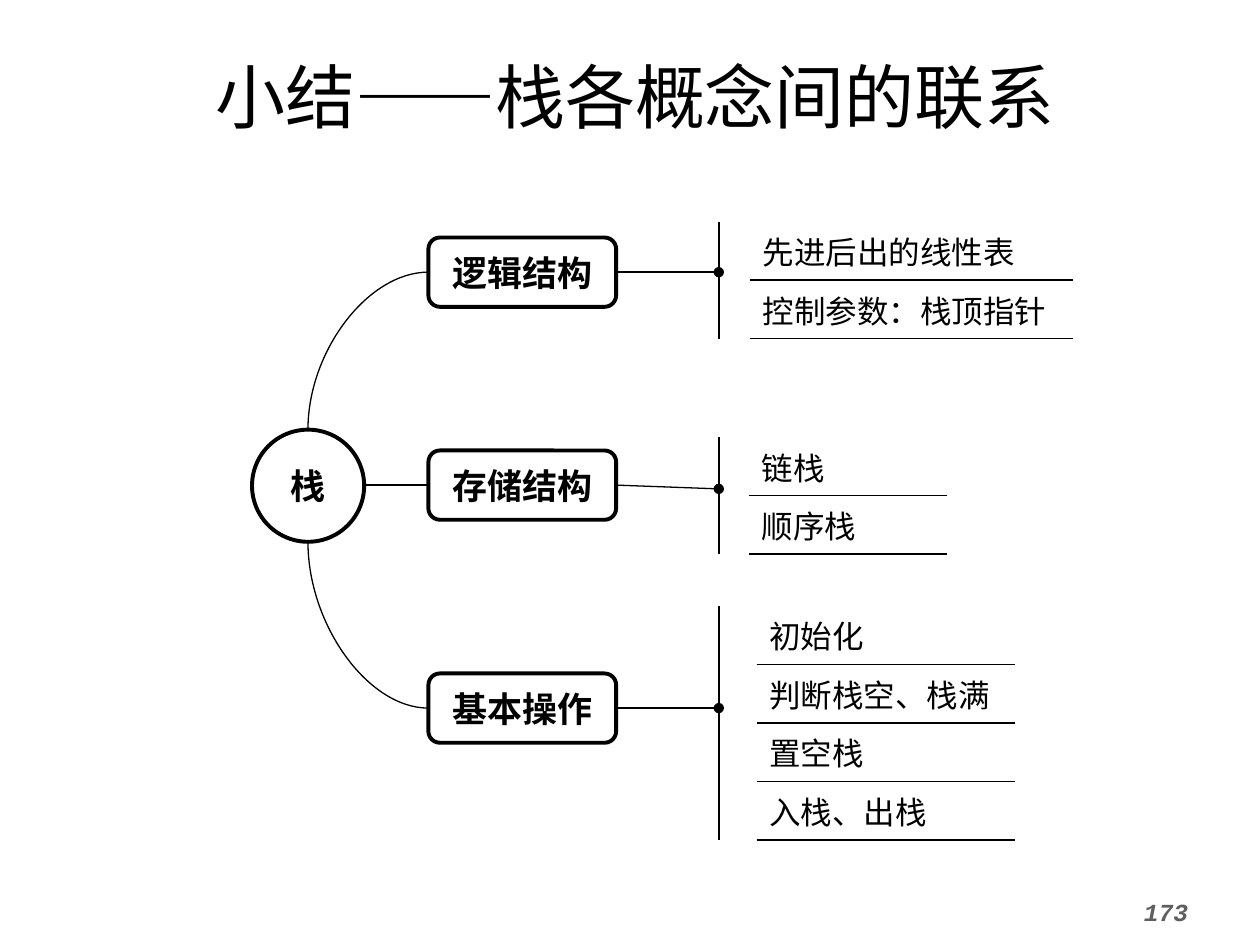
import pptx
import pptx.dml.color
import pptx.enum.shapes
import pptx.enum.text
import pptx.oxml.ns
import pptx.util
from lxml import etree

COLORS = {"ink": "000000", "paper": "FFFFFF", "page": "5F5F5F"}
FONT = "Courier New"
COLUMNS, ROWS = 100, 75
NO_GRID_STYLE = "{2D5ABB26-0587-4C30-8999-92F81FD0307C}"
SHAPES = pptx.enum.shapes.MSO_SHAPE
CONNECTORS = pptx.enum.shapes.MSO_CONNECTOR
ALIGN = pptx.enum.text.PP_ALIGN
qn = pptx.oxml.ns.qn


def color(name):
    return pptx.dml.color.RGBColor.from_string(COLORS[name])


def write(frame, text, size=18, ink="ink", align=ALIGN.LEFT, bold=False, italic=False):
    paragraph = frame.paragraphs[0]
    paragraph.alignment = align
    run = paragraph.add_run()
    run.text = text
    font = run.font
    font.name, font.size = FONT, pptx.util.Pt(size)
    font.bold, font.italic = bold, italic
    font.color.rgb = color(ink)


def add_border(cell, side, width=1):
    border = etree.SubElement(cell._tc.get_or_add_tcPr(), qn(f"a:ln{side}"),
                              w=str(pptx.util.Pt(width)))
    fill = etree.SubElement(border, qn("a:solidFill"))
    etree.SubElement(fill, qn("a:srgbClr"), val=COLORS["ink"])


class MindMap:
    """Draws the parts of a concept map on a slide divided into a grid."""

    def __init__(self, presentation):
        self.column = presentation.slide_width / COLUMNS
        self.row = presentation.slide_height / ROWS
        self.slide = presentation.slides.add_slide(presentation.slide_layouts[5])

    def place(self, *lengths):
        units = (self.column, self.row) * 2
        return [pptx.util.Emu(round(length * unit)) for length, unit in zip(lengths, units)]

    def title(self, text, *box):
        shape = self.slide.shapes.title
        shape.left, shape.top, shape.width, shape.height = self.place(*box)
        frame = shape.text_frame
        frame.auto_size = pptx.enum.text.MSO_AUTO_SIZE.SHAPE_TO_FIT_TEXT
        frame.vertical_anchor = pptx.enum.text.MSO_ANCHOR.MIDDLE
        write(frame, text, size=40, align=ALIGN.CENTER)

    def page_number(self, text, *box):
        frame = self.slide.shapes.add_textbox(*self.place(*box)).text_frame
        frame.word_wrap = True
        write(frame, text, size=14, ink="page", bold=True, italic=True)

    def node(self, kind, text, *box):
        shape = self.slide.shapes.add_shape(kind, *self.place(*box))
        shape.shadow.inherit = False
        shape.fill.solid()
        shape.fill.fore_color.rgb = color("paper")
        shape.line.color.rgb = color("ink")
        shape.line.width = pptx.util.Pt(2.25)
        shape.text_frame.vertical_anchor = pptx.enum.text.MSO_ANCHOR.MIDDLE
        write(shape.text_frame, text, size=20, align=ALIGN.CENTER, bold=True)

    def link(self, *ends, kind=CONNECTORS.STRAIGHT, dot=False):
        connector = self.slide.shapes.add_connector(kind, *self.place(*ends))
        connector.line.color.rgb = color("ink")
        connector.line.width = pptx.util.Pt(0.75)
        properties = connector._element.spPr
        etree.SubElement(properties, qn("a:effectLst"))
        if kind == CONNECTORS.CURVE:
            properties.find(qn("a:prstGeom")).set("prst", "curvedConnector2")
        if dot:
            etree.SubElement(properties.find(qn("a:ln")), qn("a:tailEnd"), type="oval")

    def listing(self, items, left, top, gap, width, row_height=4.64):
        box = self.place(left, top, gap + width, row_height * len(items))
        table = self.slide.shapes.add_table(len(items), 2, *box).table
        table.first_row = table.horz_banding = False
        table._tbl.tblPr.find(qn("a:tableStyleId")).text = NO_GRID_STYLE
        for column, share in zip(table.columns, (gap, width)):
            column.width = self.place(share)[0]
        for index, item in enumerate(items):
            spacer, entry = table.cell(index, 0), table.cell(index, 1)
            add_border(spacer, "L")
            if index:
                add_border(entry, "T")
            add_border(entry, "B")
            spacer.fill.background()
            entry.fill.background()
            write(entry.text_frame, item)


def main():
    presentation = pptx.Presentation()
    presentation.slide_width = pptx.util.Inches(10)
    presentation.slide_height = pptx.util.Inches(7.5)
    mind_map = MindMap(presentation)
    mind_map.title("小结——栈各概念间的联系", 2.7, 3.7, 95.4, 7.7)
    mind_map.page_number("173", 89.8, 70.7, 10.2, 4.3)

    root_left, root_top, root_size = 20, 34.1, 8.9
    root_center = root_left + root_size / 2
    branch_left, branch_width, branch_height, list_left = 34, 14.9, 5.5, 57.05
    branches = [
        ("逻辑结构", 21.6, 21.6, 17.6, 2.5, 25.6, ["先进后出的线性表", "控制参数：栈顶指针"]),
        ("存储结构", 38.5, 38.8, 34.7, 2.3, 15.7, ["链栈", "顺序栈"]),
        ("基本操作", 56.2, 56.2, 48.1, 3, 20.5, ["初始化", "判断栈空、栈满", "置空栈", "入栈、出栈"]),
    ]
    for name, middle, dot, top, gap, width, items in branches:
        mind_map.node(SHAPES.ROUNDED_RECTANGLE, name, branch_left,
                      middle - branch_height / 2, branch_width, branch_height)
        mind_map.listing(items, list_left, top, gap, width)
        mind_map.link(branch_left + branch_width, middle, list_left, dot, dot=True)

    upper, center, lower = (branch[1] for branch in branches)
    mind_map.node(SHAPES.OVAL, "栈", root_left, root_top, root_size, root_size)
    mind_map.link(root_left + root_size, center, branch_left, center)
    for middle, edge in ((upper, root_top), (lower, root_top + root_size)):
        mind_map.link(branch_left, middle, root_center, edge, kind=CONNECTORS.CURVE)
    presentation.save("out.pptx")


if __name__ == "__main__":
    main()
